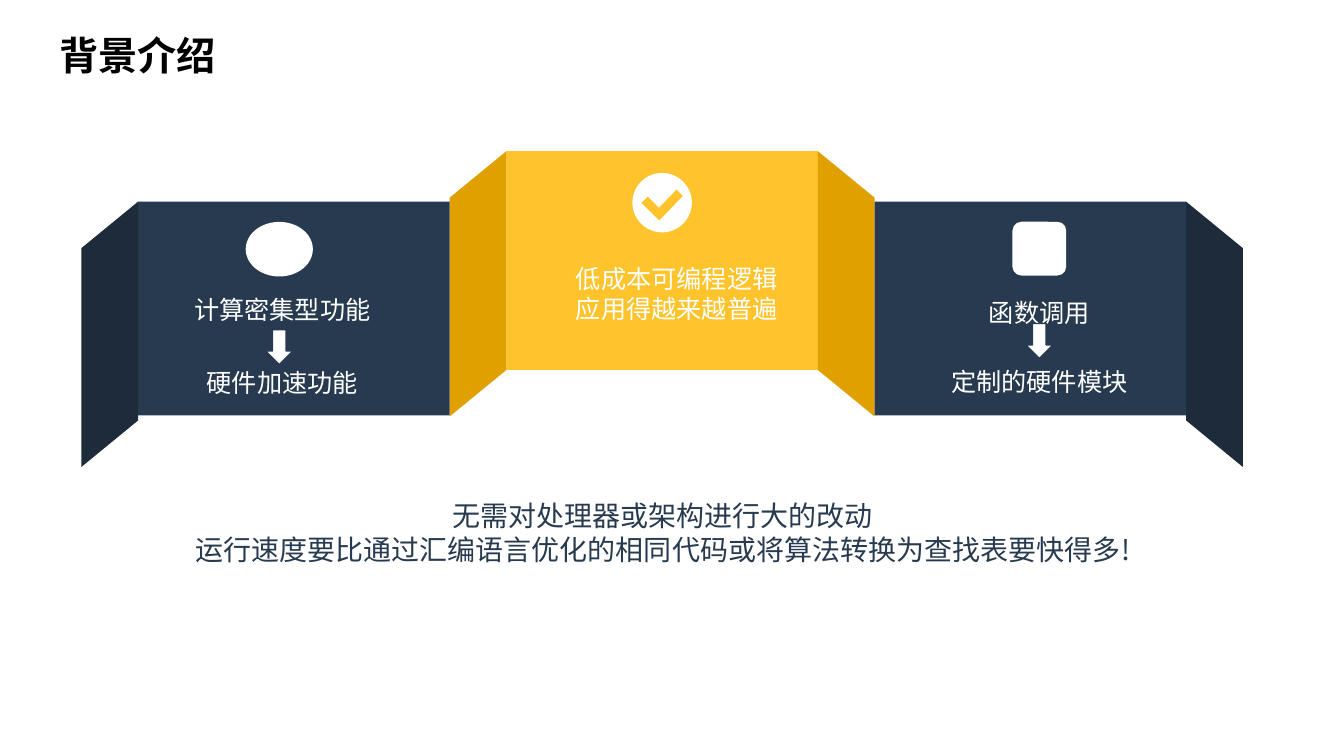
from dataclasses import dataclass

from pptx import Presentation, util as u
from pptx.dml.color import RGBColor
from pptx.enum import shapes, text
from pptx.oxml.ns import qn

Pt = u.Pt
MSO = shapes.MSO_SHAPE


@dataclass(frozen=True)
class Theme:
    navy: str = "273A4F"
    navy_dark: str = "1D2B3B"
    gold: str = "FFC32B"
    gold_dark: str = "E0A000"
    white: str = "FFFFFF"
    black: str = "000000"
    font: str = "Arial"
    cjk: str = "Noto Sans CJK SC"
    title: int = 28
    label: int = 18
    summary: int = 20


T = Theme()
PANEL_W = 222.5
FOLD_W, FOLD_H, FOLD_DROP = 40.5, 189.5, 33.2


def rgb(c):
    return RGBColor.from_string(c)


def paint(sp, fill, line=None):
    sp.shadow.inherit = False
    sp.fill.solid()
    sp.fill.fore_color.rgb = rgb(fill)
    if line:
        sp.line.color.rgb = rgb(line)
        sp.line.width = Pt(1)
    else:
        sp.line.fill.background()


def add_shape(s, kind, x, y, w, h, fill, line=None):
    sp = s.shapes.add_shape(kind, Pt(x), Pt(y), Pt(w), Pt(h))
    paint(sp, fill, line)
    return sp


def write(sp, lines, size, color, font=T.font, bold=False, align="CENTER",
          spacing=1.0, gap=0, wrap=True):
    tf = sp.text_frame
    tf.word_wrap = wrap
    tf.vertical_anchor = text.MSO_ANCHOR.TOP
    for i, line in enumerate(lines):
        p = tf.paragraphs[0] if i == 0 else tf.add_paragraph()
        p.alignment = text.PP_ALIGN[align]
        p.line_spacing = spacing
        p.space_before = Pt(gap if i else 0)
        r = p.add_run()
        r.text = line
        r.font.size = Pt(size)
        r.font.bold = bold
        r.font.name = font
        r.font.color.rgb = rgb(color)
        if font == T.cjk:
            ea = r.font._element.makeelement(qn("a:ea"), {"typeface": font})
            r.font._element.find(qn("a:latin")).addnext(ea)


def add_text(s, x, y, w, h, lines, **fmt):
    write(s.shapes.add_textbox(Pt(x), Pt(y), Pt(w), Pt(h)), lines, **fmt)


def add_title(s, x, y, w, h, title):
    sp = s.shapes.title
    sp.left, sp.top, sp.width, sp.height = Pt(x), Pt(y), Pt(w), Pt(h)
    write(sp, [title], T.title, T.black, bold=True, align="LEFT", wrap=False)


def add_fold(s, x, y, fill, left):
    shift = (FOLD_H - FOLD_W) / 2
    sp = add_shape(s, MSO.PARALLELOGRAM, x - shift, y + shift, FOLD_H, FOLD_W, fill)
    sp.adjustments[0] = FOLD_DROP / FOLD_W
    sp.rotation = 270 if left else 90
    if left:
        sp._element.spPr.find(qn("a:xfrm")).set("flipV", "1")


def add_panel(s, x, y, h, fill, fold_fill, left=False, right=False):
    add_shape(s, MSO.RECTANGLE, x, y, PANEL_W, h, fill)
    if left:
        add_fold(s, x - FOLD_W, y, fold_fill, True)
    if right:
        add_fold(s, x + PANEL_W, y, fold_fill, False)


def add_check(s, x, y, size):
    add_shape(s, MSO.OVAL, x, y, size, size, T.white)
    tick = [(31.5, 12), (36, 16.5), (19.25, 34), (6.5, 21.5), (11, 17), (19, 25)]
    pts = [(Pt(x + dx), Pt(y + dy)) for dx, dy in tick]
    fb = s.shapes.build_freeform(*pts[0])
    fb.add_line_segments(pts[1:])
    paint(fb.convert_to_shape(), T.gold)


def add_arrow(s, cx, y):
    add_shape(s, MSO.DOWN_ARROW, cx - 9.75, y, 19.5, 25, T.white, T.navy)


def hardware_panel(s, x, y, h):
    add_panel(s, x, y, h, T.navy, T.navy_dark, left=True)
    cx = x + 100.8
    add_shape(s, MSO.OVAL, cx - 24, y + 14.5, 48, 39, T.white)
    add_text(s, x + 8.6, y + 58.3, 188.6, 85.7, ["计算密集型功能", "硬件加速功能"],
             size=T.label, color=T.white, spacing=1.2, gap=26)
    add_arrow(s, cx, y + 91.5)


def logic_panel(s, x, y, h):
    add_panel(s, x, y, h, T.gold, T.gold_dark, left=True, right=True)
    add_check(s, x + 90, y + 15.5, 42.5)
    add_text(s, x + 33.8, y + 76.3, 175.7, 51, ["低成本可编程逻辑应用得越来越普遍"],
             size=T.label, color=T.white)


def module_panel(s, x, y, h):
    add_panel(s, x, y, h, T.navy, T.navy_dark, right=True)
    cx = x + 117.7
    add_shape(s, MSO.ROUNDED_RECTANGLE, cx - 19.2, y + 14.4, 38.4, 38.4, T.white)
    add_text(s, x + 25.9, y + 36.7, 183.6, 107.3, ["函数调用", "定制的硬件模块"],
             size=T.label, color=T.white, spacing=2.3)
    add_arrow(s, cx, y + 87.1)


def add_summary(s, x, y, w, h):
    add_text(s, x, y, w, h,
             ["无需对处理器或架构进行大的改动",
              "运行速度要比通过汇编语言优化的相同代码或将算法转换为查找表要快得多!"],
             size=T.summary, color=T.navy, font=T.cjk)


def main():
    prs = Presentation()
    prs.slide_width, prs.slide_height = Pt(960), Pt(540)
    s = prs.slides.add_slide(prs.slide_layouts[5])
    add_title(s, 35.3, 18.7, 126.7, 41, "背景介绍")
    left, step = 98.7, PANEL_W + FOLD_W
    logic_panel(s, left + step, 108, 156.2)
    module_panel(s, left + 2 * step, 144, 152.8)
    hardware_panel(s, left, 144, 152.8)
    add_summary(s, 131, 352.8, 684.7, 55.4)
    prs.save("out.pptx")


if __name__ == "__main__":
    main()
